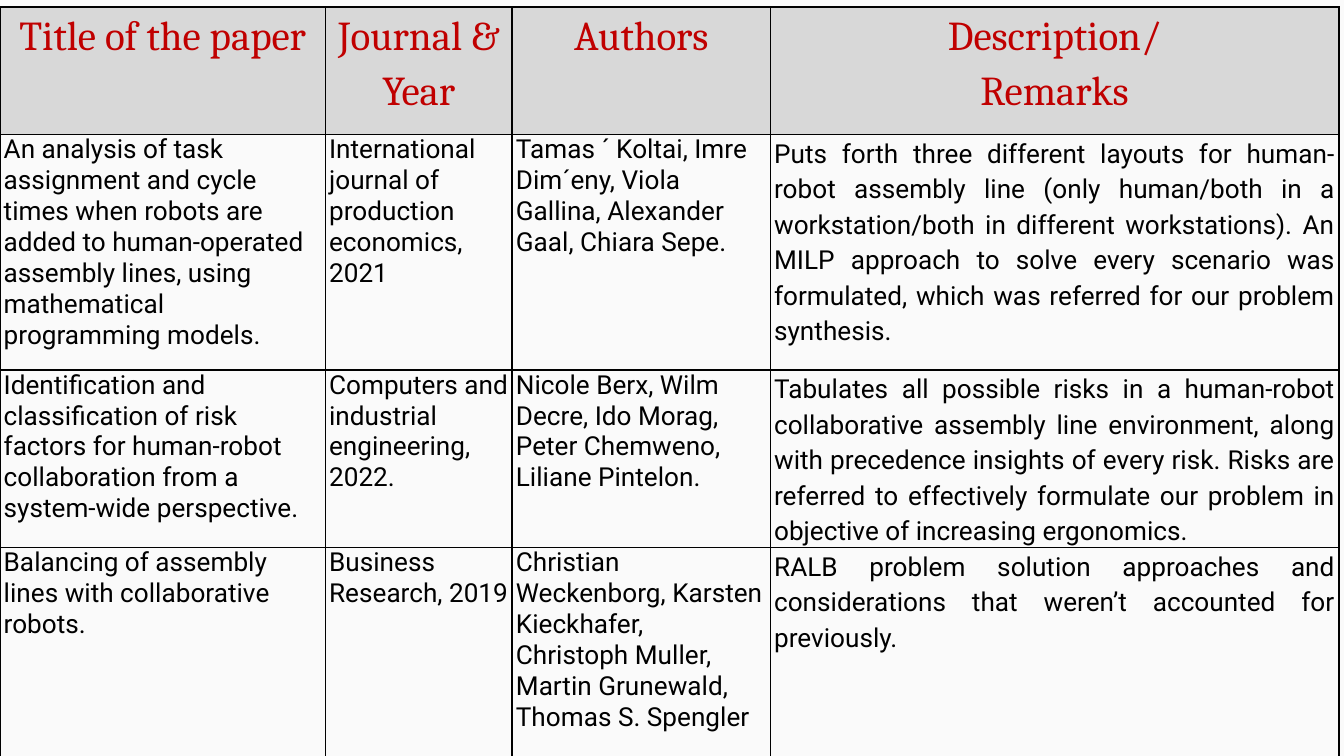
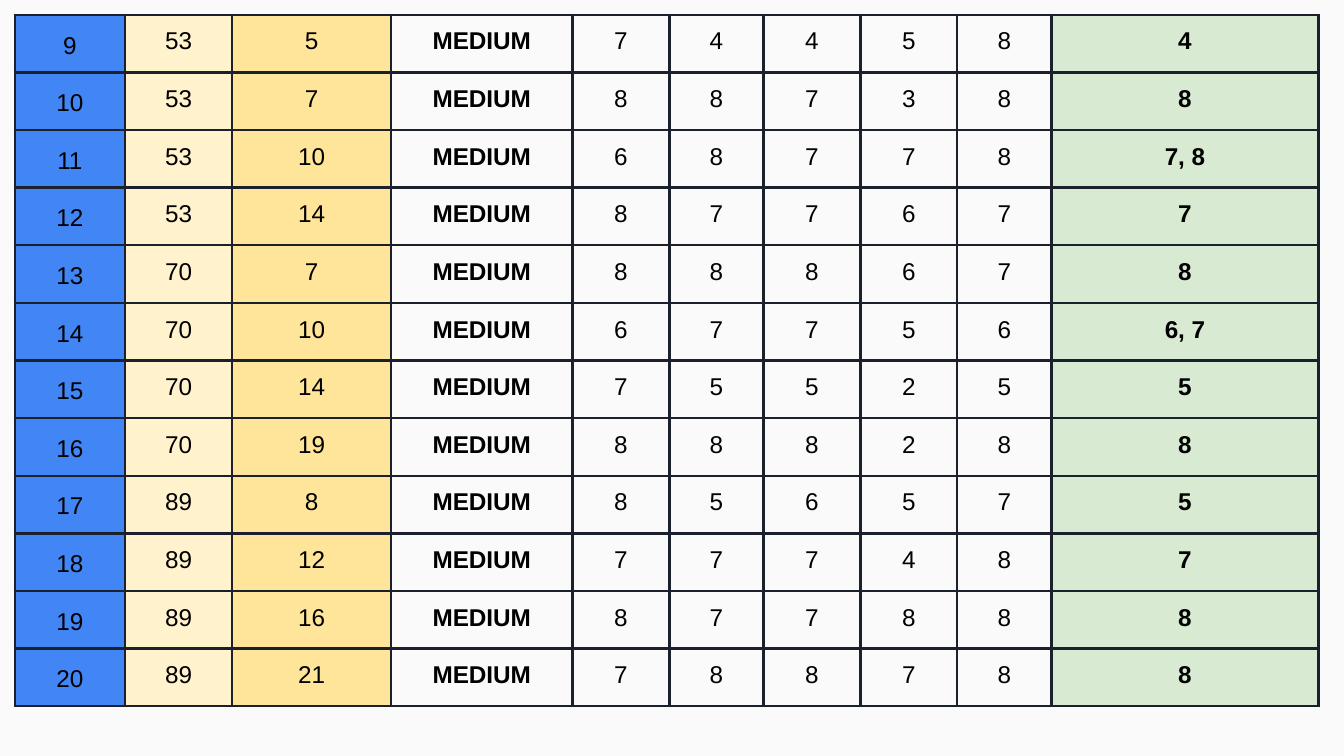
from dataclasses import dataclass

from lxml.etree import SubElement
from pptx import Presentation
from pptx.dml.color import RGBColor
from pptx.enum.text import PP_ALIGN as Align
from pptx.oxml.ns import qn
from pptx.util import Cm, Pt


@dataclass(frozen=True)
class Theme:
    page: str = "FAFAFA"
    ink: str = "000000"
    heading: str = "C00000"
    heading_fill: str = "D8D8D8"
    grid: str = "1B212C"
    blue: str = "4285F4"
    cream: str = "FFF2CC"
    amber: str = "FFE599"
    green: str = "D9EAD3"
    heading_size: float = 22
    body_size: float = 14
    number_size: float = 13
    loose: float = 1.15


@dataclass(frozen=True)
class CellStyle:
    font: str
    size: float
    color: str
    fill: str = ""
    align: Align = Align.LEFT
    spacing: float = 1.0
    bold: bool = False


THEME = Theme()

HEADING = CellStyle("Cambria", THEME.heading_size, THEME.heading,
                    THEME.heading_fill, Align.CENTER, THEME.loose)
PAPER = CellStyle("Roboto", THEME.body_size, THEME.ink)
REMARK = CellStyle("Roboto", THEME.body_size, THEME.ink,
                   align=Align.JUSTIFY, spacing=THEME.loose)


def number_style(fill="", spacing=1.0, bold=False):
    return CellStyle("Arial", THEME.number_size, THEME.ink, fill,
                     Align.CENTER, spacing, bold)


class Deck:
    def __init__(self, theme):
        self.theme = theme
        self.prs = Presentation()
        self.prs.slide_width, self.prs.slide_height = Cm(25.4), Cm(14.29)
        fill = self.prs.slide_master.background.fill
        fill.solid()
        fill.fore_color.rgb = RGBColor.from_string(theme.page)
        self.s = None

    def slide(self):
        self.s = self.prs.slides.add_slide(self.prs.slide_layouts[6])

    def table(self, left, top, cols, heights, rows, style_at, inset, border):
        frame = self.s.shapes.add_table(
            len(rows), len(cols), Cm(left), Cm(top),
            Cm(sum(cols)), Cm(sum(heights)))
        tbl = frame.table
        tbl.first_row = tbl.horz_banding = False
        for col, width in zip(tbl.columns, cols):
            col.width = Cm(width)
        for row, height in zip(tbl.rows, heights):
            row.height = Cm(height)
        for i, row in enumerate(rows):
            for j, text in enumerate(row):
                cell = tbl.cell(i, j)
                cell.margin_left = cell.margin_right = Cm(inset[0])
                cell.margin_top = cell.margin_bottom = Cm(inset[1])
                self.borders(cell, *border)
                self.cell(cell, str(text), style_at(i, j))

    def borders(self, cell, color, width):
        tc_pr = cell._tc.get_or_add_tcPr()
        for side in ("a:lnL", "a:lnR", "a:lnT", "a:lnB"):
            ln = SubElement(tc_pr, qn(side), w=str(Pt(width)))
            solid = SubElement(ln, qn("a:solidFill"))
            SubElement(solid, qn("a:srgbClr"), val=color)

    def cell(self, cell, text, style):
        if style.fill:
            cell.fill.solid()
            cell.fill.fore_color.rgb = RGBColor.from_string(style.fill)
        else:
            cell.fill.background()
        tf = cell.text_frame
        for k, line in enumerate(text.split("\n")):
            p = tf.add_paragraph() if k else tf.paragraphs[0]
            p.alignment = style.align
            p.line_spacing = style.spacing
            r = p.add_run()
            r.text = line
            r.font.name = style.font
            r.font.size = Pt(style.size)
            r.font.bold = style.bold
            r.font.color.rgb = RGBColor.from_string(style.color)


PAPERS = [
    ("Title of the paper", "Journal & Year", "Authors",
     "Description/\nRemarks"),
    ("An analysis of task assignment and cycle times when robots are added "
     "to human-operated assembly lines, using mathematical programming "
     "models.",
     "International journal of production economics, 2021",
     "Tamas ´ Koltai, Imre Dim´eny, Viola Gallina, Alexander Gaal, "
     "Chiara Sepe.",
     "Puts forth three different layouts for human-robot assembly line "
     "(only human/both in a workstation/both in different workstations). "
     "An MILP approach to solve every scenario was formulated, which was "
     "referred for our problem synthesis."),
    ("Identification and classification of risk factors for human-robot "
     "collaboration from a system-wide perspective.",
     "Computers and industrial engineering, 2022.",
     "Nicole Berx, Wilm Decre, Ido Morag, Peter Chemweno, "
     "Liliane Pintelon.",
     "Tabulates all possible risks in a human-robot collaborative assembly "
     "line environment, along with precedence insights of every risk. Risks "
     "are referred to effectively formulate our problem in objective of "
     "increasing ergonomics."),
    ("Balancing of assembly lines with collaborative robots.",
     "Business Research, 2019",
     "Christian Weckenborg, Karsten Kieckhafer,\n"
     "Christoph Muller, Martin Grunewald,\nThomas S. Spengler",
     "RALB problem solution approaches and considerations that weren’t "
     "accounted for previously."),
]

FIRST_CASE = 9
LEVEL = "MEDIUM"
CASES = [
    (53, 5, (7, 4, 4, 5, 8), "4"),
    (53, 7, (8, 8, 7, 3, 8), "8"),
    (53, 10, (6, 8, 7, 7, 8), "7, 8"),
    (53, 14, (8, 7, 7, 6, 7), "7"),
    (70, 7, (8, 8, 8, 6, 7), "8"),
    (70, 10, (6, 7, 7, 5, 6), "6, 7"),
    (70, 14, (7, 5, 5, 2, 5), "5"),
    (70, 19, (8, 8, 8, 2, 8), "8"),
    (89, 8, (8, 5, 6, 5, 7), "5"),
    (89, 12, (7, 7, 7, 4, 8), "7"),
    (89, 16, (8, 7, 7, 8, 8), "8"),
    (89, 21, (7, 8, 8, 7, 8), "8"),
]
CASE_STYLES = [
    number_style(THEME.blue, THEME.loose),
    number_style(THEME.cream),
    number_style(THEME.amber),
    number_style(bold=True),
    *[number_style()] * 5,
    number_style(THEME.green, bold=True),
]


def paper_style(i, j):
    if i == 0:
        return HEADING
    return REMARK if j == 3 else PAPER


def literature_slide(deck):
    deck.slide()
    deck.table(0, 0.13, (6.15, 3.53, 4.88, 10.74), (2.41, 4.45, 2.9, 3.99),
               PAPERS, paper_style, (0.07, 0), (THEME.ink, 1))


def results_slide(deck):
    deck.slide()
    rows = [(n, tasks, stations, LEVEL, *scores, best)
            for n, (tasks, stations, scores, best)
            in enumerate(CASES, FIRST_CASE)]
    cols = (2.08, 2.03, 3, 3.43, 1.83, 1.78, 1.83, 1.83, 1.78, 5.05)
    deck.table(0.28, 0.28, cols, [0.71] * len(rows), rows,
               lambda i, j: CASE_STYLES[j], (0.25, 0.25), (THEME.grid, 1.5))


def main():
    deck = Deck(THEME)
    literature_slide(deck)
    results_slide(deck)
    deck.prs.save("out.pptx")


if __name__ == "__main__":
    main()
